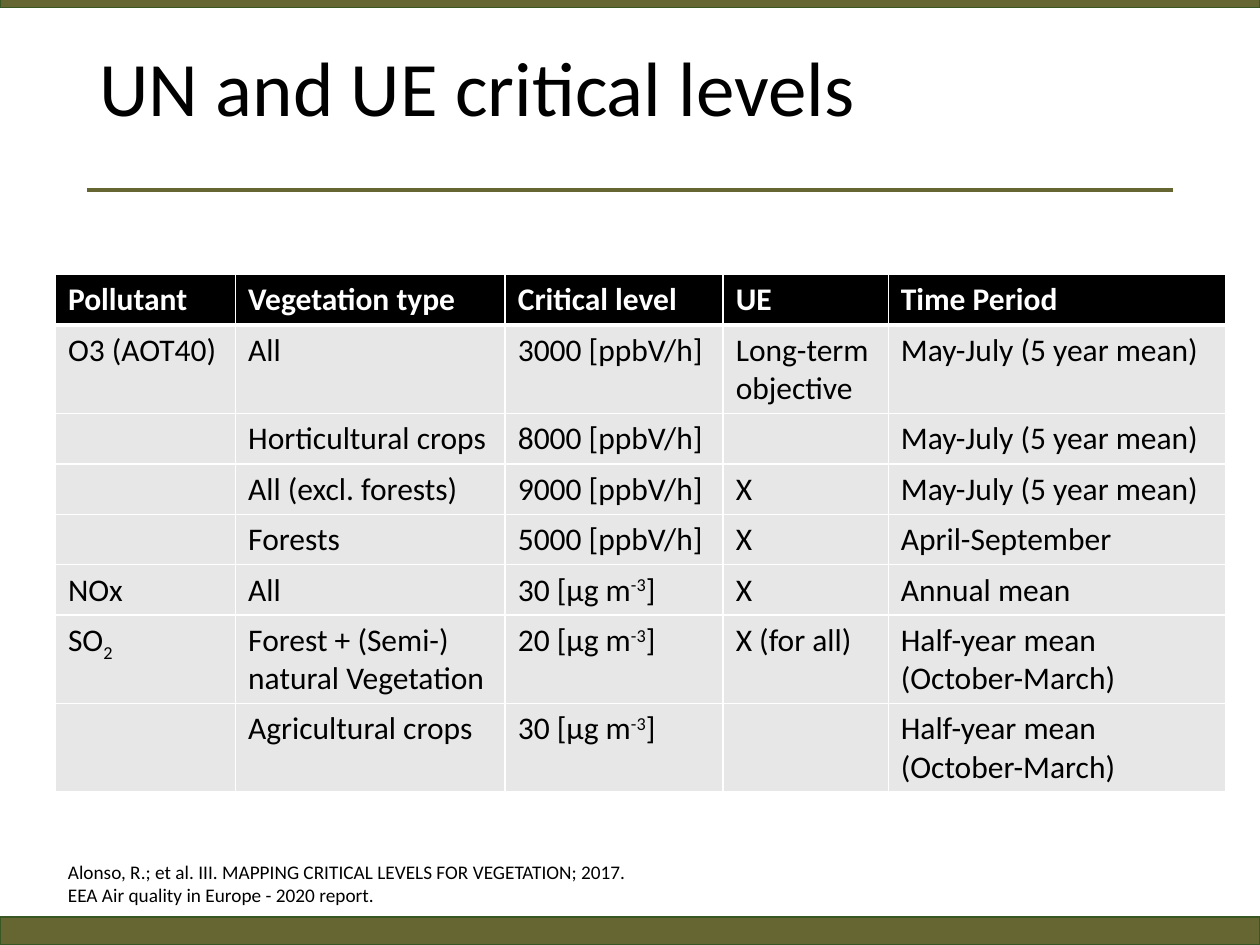
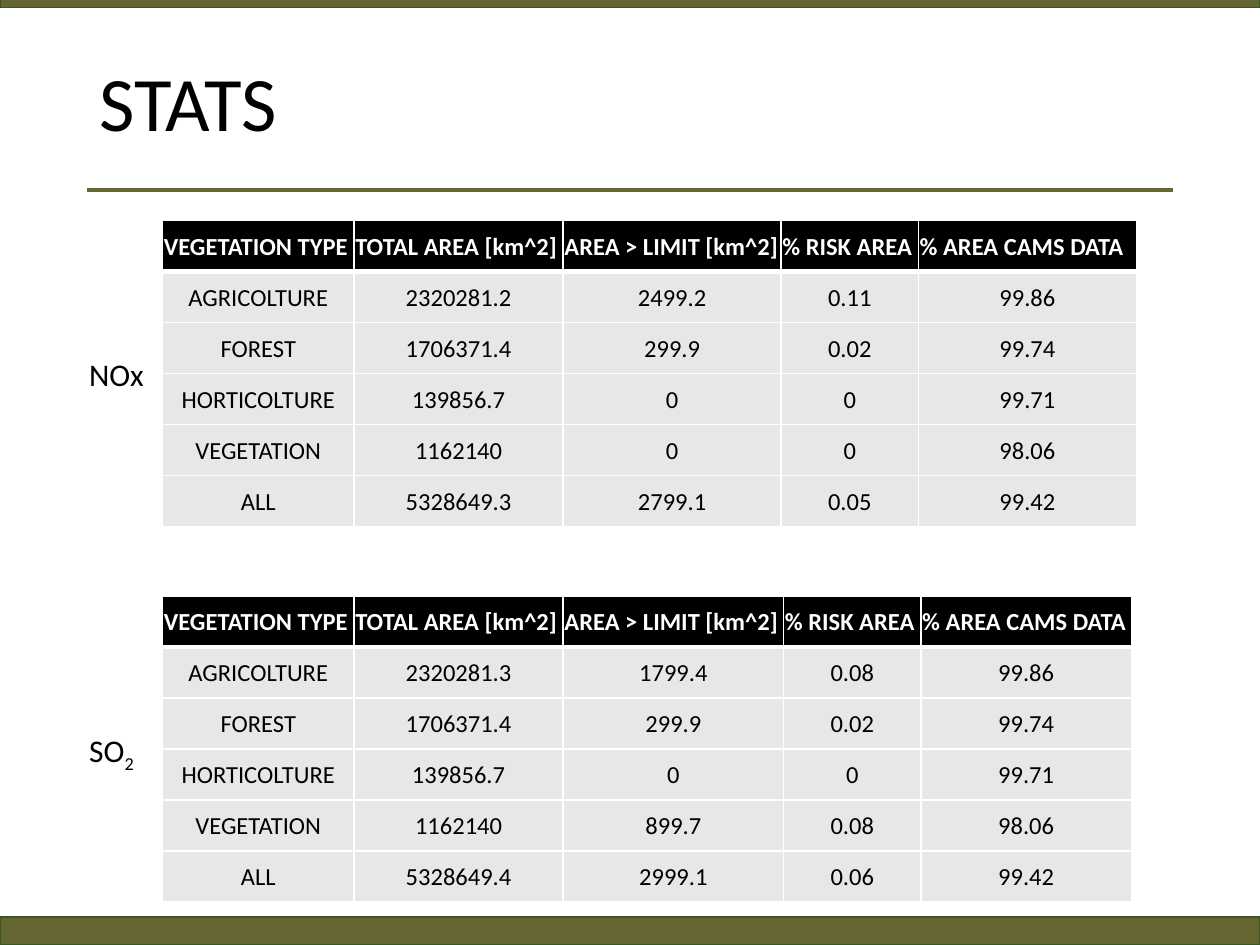
from dataclasses import dataclass
from typing import NamedTuple

from lxml.etree import SubElement
from pptx import Presentation
from pptx.dml.color import RGBColor
from pptx.enum.shapes import MSO_CONNECTOR, MSO_SHAPE
from pptx.enum.text import MSO_ANCHOR as Anchor, PP_ALIGN as Align
from pptx.oxml.ns import qn
from pptx.util import Inches, Pt

COLORS = {
    "olive": "666633",
    "band_edge": "385723",
    "black": "000000",
    "white": "FFFFFF",
    "cell": "E7E7E7",
}
FONT = "Calibri"


class Run(NamedTuple):
    text: str
    baseline: int = 0


RichText = str | tuple[Run, ...]


class Band(NamedTuple):
    top: float
    height: float


class Box(NamedTuple):
    left: float
    top: float
    width: float
    height: float


class TextStyle(NamedTuple):
    size: float
    color: str = "black"
    bold: bool = False
    align: Align = Align.LEFT
    line_spacing: float = 1.0


@dataclass(frozen=True)
class TableStyle:
    size: float
    body_align: Align
    anchor: Anchor
    margins: tuple[float, float, float, float]


@dataclass(frozen=True)
class TableData:
    left: float
    top: float
    columns: tuple[float, ...]
    row_heights: tuple[float, ...]
    rows: list[tuple[RichText, ...]]
    style: TableStyle


@dataclass(frozen=True)
class StatsBlock:
    label: RichText
    table: TableData


BANDS = (Band(7.28, 0.22), Band(-0.01, 0.07))
TITLE_STYLE = TextStyle(44, line_spacing=0.9)
LABEL_STYLE = TextStyle(18)
SOURCE_STYLE = TextStyle(11)
LEVELS_STYLE = TableStyle(18, Align.LEFT, Anchor.TOP, (0.1, 0.05, 0.1, 0.05))
STATS_STYLE = TableStyle(14, Align.CENTER, Anchor.MIDDLE, (0.01, 0.01, 0.01, 0))

SO2 = (Run("SO"), Run("2", -25000))


def micrograms(level: int) -> RichText:
    return Run(f"{level} [µg m"), Run("-3", 30000), Run("]")


SUMMER = "May-July (5 year mean)"
WINTER = "Half-year mean (October-March)"
CRITICAL_LEVELS = TableData(
    0.44, 2.18, (1.43, 2.14, 1.73, 1.31, 2.68),
    (0.39, 0.7, 0.4, 0.4, 0.4, 0.4, 0.7, 0.7),
    [
        ("Pollutant", "Vegetation type", "Critical level", "UE", "Time Period"),
        ("O3 (AOT40)", "All", "3000 [ppbV/h]", "Long-term\nobjective", SUMMER),
        ("", "Horticultural crops", "8000 [ppbV/h]", "", SUMMER),
        ("", "All (excl. forests)", "9000 [ppbV/h]", "X", SUMMER),
        ("", "Forests", "5000 [ppbV/h]", "X", "April-September"),
        ("NOx", "All", micrograms(30), "X", "Annual mean"),
        (SO2, "Forest + (Semi-) natural Vegetation", micrograms(20), "X (for all)", WINTER),
        ("", "Agricultural crops", micrograms(30), "", WINTER),
    ],
    LEVELS_STYLE,
)

STATS_HEADER = ("VEGETATION TYPE", "TOTAL AREA [km^2]", "AREA > LIMIT [km^2]",
                "% RISK AREA", "% AREA CAMS DATA")


def stats_table(top: float, columns: tuple[float, ...],
                rows: list[tuple[RichText, ...]]) -> TableData:
    all_rows = [STATS_HEADER, *rows]
    return TableData(1.29, top, columns, (0.405,) * len(all_rows), all_rows, STATS_STYLE)


STATS = (
    StatsBlock("NOx", stats_table(1.75, (1.52, 1.66, 1.73, 1.09, 1.73), [
        ("AGRICOLTURE", "2320281.2", "2499.2", "0.11", "99.86"),
        ("FOREST", "1706371.4", "299.9", "0.02", "99.74"),
        ("HORTICOLTURE", "139856.7", "0", "0", "99.71"),
        ("VEGETATION", "1162140", "0", "0", "98.06"),
        ("ALL", "5328649.3", "2799.1", "0.05", "99.42"),
    ])),
    StatsBlock(SO2, stats_table(4.73, (1.52, 1.66, 1.75, 1.09, 1.67), [
        ("AGRICOLTURE", "2320281.3", "1799.4", "0.08", "99.86"),
        ("FOREST", "1706371.4", "299.9", "0.02", "99.74"),
        ("HORTICOLTURE", "139856.7", "0", "0", "99.71"),
        ("VEGETATION", "1162140", "899.7", "0.08", "98.06"),
        ("ALL", "5328649.4", "2999.1", "0.06", "99.42"),
    ])),
)


def rgb(name: str) -> RGBColor:
    return RGBColor.from_string(COLORS[name])


def write_text(frame, content: RichText, style: TextStyle) -> None:
    if isinstance(content, str):
        lines = [(Run(line),) for line in content.split("\n")]
    else:
        lines = [content]
    for index, runs in enumerate(lines):
        paragraph = frame.add_paragraph() if index else frame.paragraphs[0]
        paragraph.alignment = style.align
        paragraph.line_spacing = style.line_spacing
        for text, baseline in runs:
            if not text:
                continue
            run = paragraph.add_run()
            run.text = text
            run.font.name = FONT
            run.font.size = Pt(style.size)
            run.font.bold = style.bold
            run.font.color.rgb = rgb(style.color)
            if baseline:
                run.font._element.set("baseline", str(baseline))


def add_text(slide, box: Box, content: RichText, style: TextStyle,
             anchor: Anchor = Anchor.TOP) -> None:
    shape = slide.shapes.add_textbox(*map(Inches, box))
    shape.text_frame.word_wrap = True
    shape.text_frame.vertical_anchor = anchor
    write_text(shape.text_frame, content, style)


def add_border(cell, side: str, width: float) -> None:
    properties = cell._tc.get_or_add_tcPr()
    line = SubElement(properties, qn(f"a:ln{side}"), w=str(Pt(width)))
    fill = SubElement(line, qn("a:solidFill"))
    SubElement(fill, qn("a:srgbClr"), val=COLORS["white"])


def style_cell(cell, style: TableStyle, row_index: int) -> None:
    widths = {"L": 1, "R": 1, "T": 3 if row_index == 1 else 1, "B": 3 if row_index == 0 else 1}
    for side, width in widths.items():
        add_border(cell, side, width)
    cell.fill.solid()
    cell.fill.fore_color.rgb = rgb("cell" if row_index else "black")
    cell.vertical_anchor = style.anchor
    (cell.margin_left, cell.margin_top,
     cell.margin_right, cell.margin_bottom) = map(Inches, style.margins)


def add_data_table(slide, data: TableData) -> None:
    frame = slide.shapes.add_table(
        len(data.rows), len(data.columns), Inches(data.left), Inches(data.top),
        Inches(sum(data.columns)), Inches(sum(data.row_heights)))
    table = frame.table
    table.horz_banding = False
    for column, width in zip(table.columns, data.columns):
        column.width = Inches(width)
    for row, height in zip(table.rows, data.row_heights):
        row.height = Inches(height)
    header_style = TextStyle(data.style.size, "white", True)
    body_style = TextStyle(data.style.size, align=data.style.body_align)
    for row_index, values in enumerate(data.rows):
        for column_index, value in enumerate(values):
            cell = table.cell(row_index, column_index)
            style_cell(cell, data.style, row_index)
            write_text(cell.text_frame, value, body_style if row_index else header_style)


def add_titled_slide(presentation, title: str, title_box: Box):
    slide = presentation.slides.add_slide(presentation.slide_layouts[6])
    for band in BANDS:
        shape = slide.shapes.add_shape(
            MSO_SHAPE.RECTANGLE, 0, Inches(band.top),
            presentation.slide_width, Inches(band.height))
        shape.shadow.inherit = False
        shape.fill.solid()
        shape.fill.fore_color.rgb = rgb("olive")
        shape.line.color.rgb = rgb("band_edge")
        shape.line.width = Pt(1)
    rule = slide.shapes.add_connector(
        MSO_CONNECTOR.STRAIGHT, Inches(0.69), Inches(1.51), Inches(9.31), Inches(1.51))
    rule.line.color.rgb = rgb("olive")
    rule.line.width = Pt(2.25)
    SubElement(rule._element.spPr, qn("a:effectLst"))
    add_text(slide, title_box, title, TITLE_STYLE, Anchor.MIDDLE)
    return slide


def build_levels_slide(presentation) -> None:
    slide = add_titled_slide(presentation, "UN and UE critical levels", Box(0.69, 0, 8.62, 1.45))
    add_data_table(slide, CRITICAL_LEVELS)
    add_text(slide, Box(0.44, 6.78, 9.29, 0.47),
             "Alonso, R.; et al. III. MAPPING CRITICAL LEVELS FOR VEGETATION; 2017.\n"
             "EEA Air quality in Europe - 2020 report.", SOURCE_STYLE)


def build_stats_slide(presentation) -> None:
    slide = add_titled_slide(presentation, "STATS", Box(0.69, 0.14, 8.62, 1.41))
    for block in STATS:
        add_data_table(slide, block.table)
        add_text(slide, Box(0.61, block.table.top + 1.02, 1.16, 0.4), block.label, LABEL_STYLE)


def main() -> None:
    presentation = Presentation()
    presentation.slide_width = Inches(10)
    presentation.slide_height = Inches(7.5)
    build_levels_slide(presentation)
    build_stats_slide(presentation)
    presentation.save("out.pptx")


if __name__ == "__main__":
    main()
